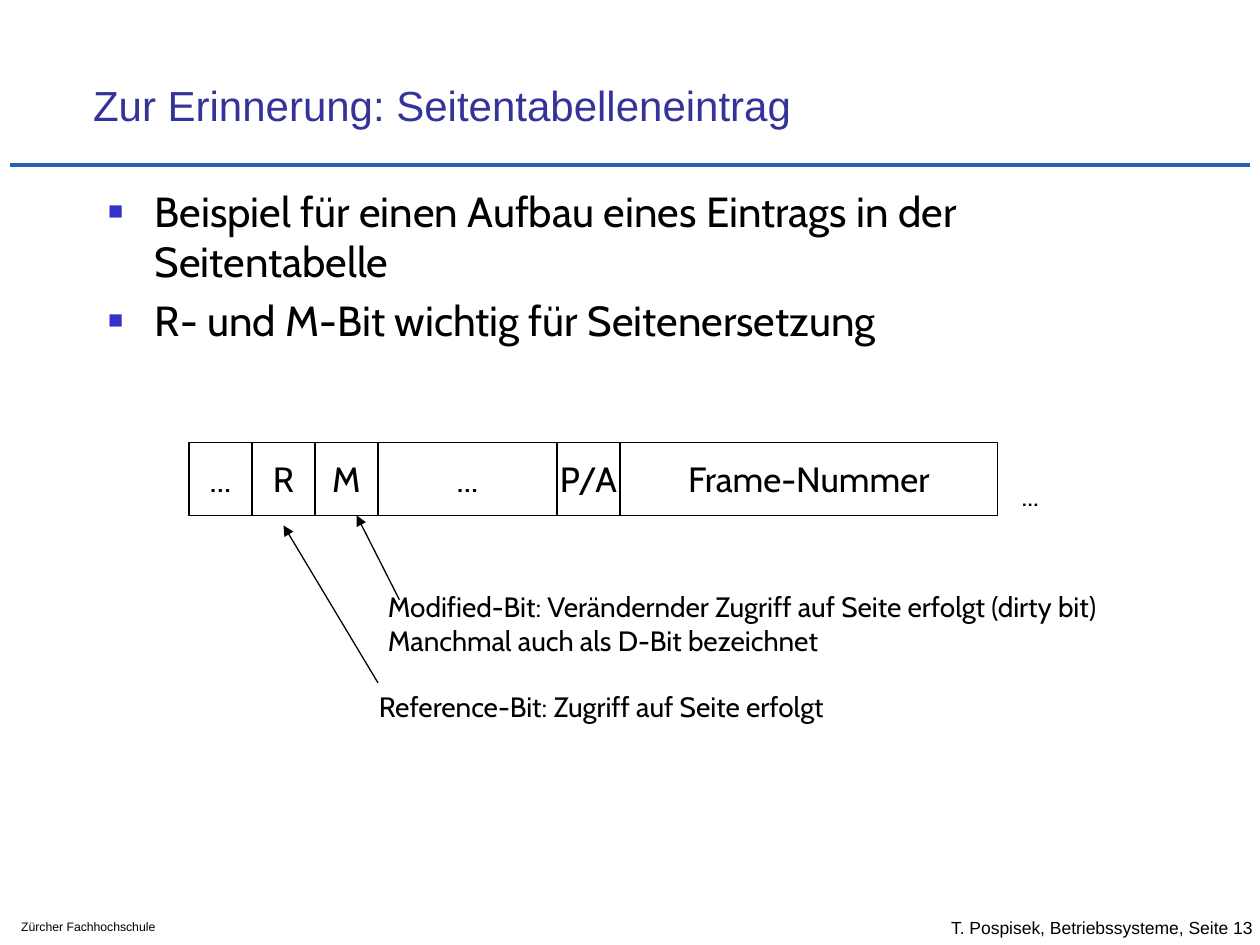
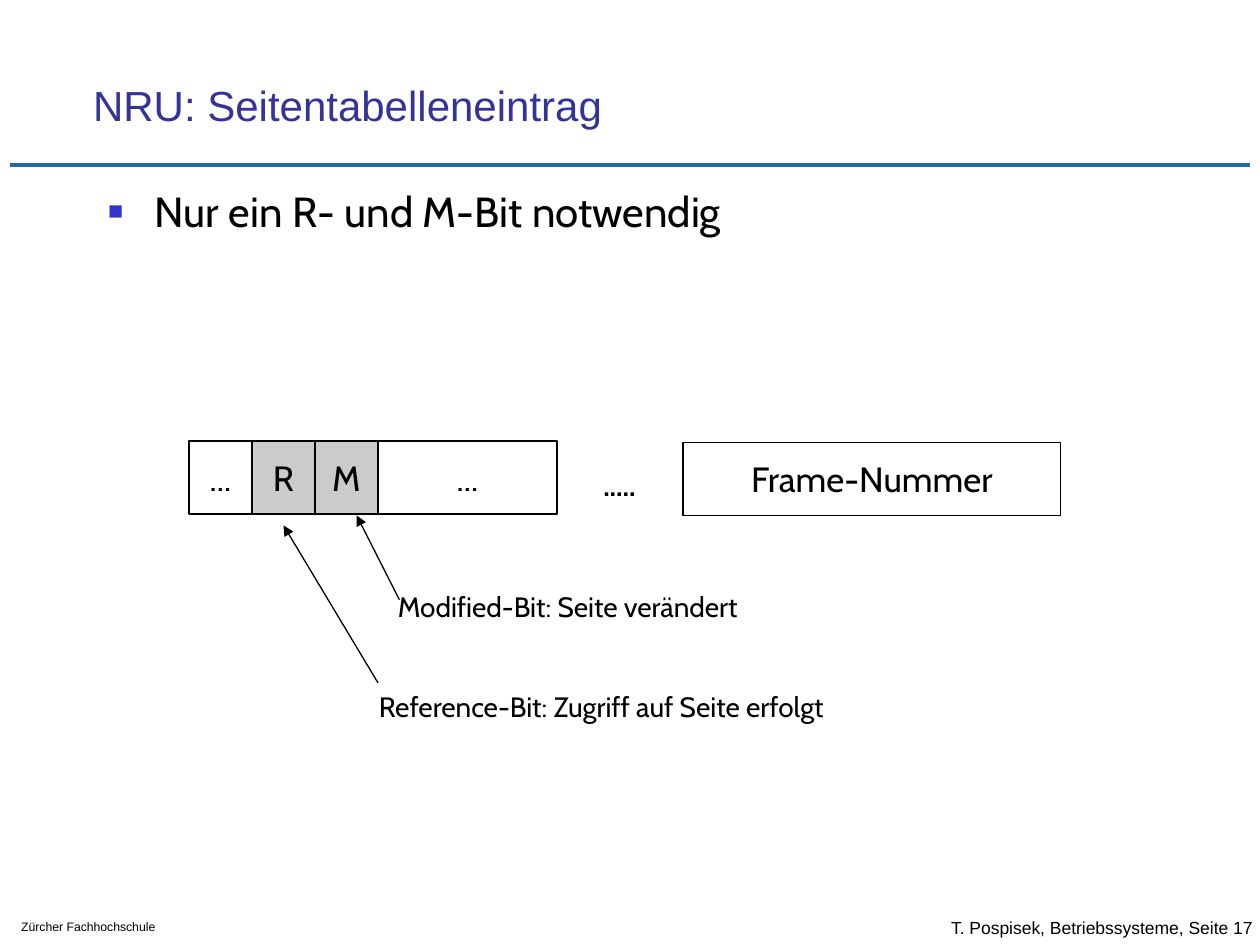
import pptx
import pptx.util
import pptx.dml.color
import pptx.enum.shapes
import pptx.enum.text
import pptx.oxml.ns
from lxml import etree

Inches = pptx.util.Inches
ANCHOR = pptx.enum.text.MSO_ANCHOR
ALIGN = pptx.enum.text.PP_ALIGN
BLACK, TITLE, RULE, BULLET, GREY = "000000", "333399", "2266AB", "3333CC", "CBCBCB"
CELL_H = 0.58

# Cells: text, left, top, width, fill
# Notes: text, left, top, width, height, bold
slides = [
    dict(
        title="Zur Erinnerung: Seitentabelleneintrag",
        page=13,
        bullets=["Beispiel für einen Aufbau eines Eintrags in der Seitentabelle",
                 "R- und M-Bit wichtig für Seitenersetzung"],
        cells=[("...", 1.5, 3.51, 0.5, None), ("R", 2, 3.51, 0.5, None),
               ("M", 2.5, 3.51, 0.5, None), ("...", 3, 3.51, 1.42, None),
               ("P/A", 4.42, 3.51, 0.5, None), ("Frame-Nummer", 4.92, 3.51, 3, None)],
        notes=[("Modified-Bit: Verändernder Zugriff auf Seite erfolgt (dirty bit)\n"
                "Manchmal auch als D-Bit bezeichnet", 2.98, 4.63, 6.51, 0.63, False),
               ("...", 8.01, 3.75, 0.38, 0.37, False)],
    ),
    dict(
        title="NRU: Seitentabelleneintrag",
        page=17,
        bullets=["Nur ein R- und M-Bit notwendig"],
        cells=[("...", 1.5, 3.5, 0.5, None), ("R", 2, 3.5, 0.5, GREY),
               ("M", 2.5, 3.5, 0.5, GREY), ("...", 3, 3.5, 1.42, None),
               ("Frame-Nummer", 5.42, 3.51, 3, None)],
        notes=[("Modified-Bit: Seite verändert", 3.06, 4.63, 3.18, 0.37, False),
               (".....", 4.69, 3.67, 0.57, 0.37, True)],
    ),
]
reference_note = ("Reference-Bit: Zugriff auf Seite erfolgt", 2.91, 5.42, 4.13, 0.37, False)
arrows = [(3, 5.42, 2.25, 4.17), (3.17, 4.76, 2.83, 4.09)]


def rgb(color):
    return pptx.dml.color.RGBColor.from_string(color)


def write(sp, text, size, font="Cabin", color=BLACK, bold=False, align=ALIGN.LEFT,
          anchor=ANCHOR.TOP, wrap=False, bullet=False):
    tf = sp.text_frame
    tf.word_wrap = wrap
    tf.vertical_anchor = anchor
    tf.margin_left = tf.margin_right = Inches(0.1)
    tf.margin_top = tf.margin_bottom = Inches(0.05)
    for i, line in enumerate(text.split("\n")):
        p = tf.add_paragraph() if i else tf.paragraphs[0]
        p.alignment = align
        if bullet:
            if i:
                p.space_before = pptx.util.Pt(4.8)
            pPr = p._p.get_or_add_pPr()
            pPr.set("marL", str(Inches(0.38)))
            pPr.set("indent", str(Inches(-0.37)))
            bu = etree.SubElement(pPr, pptx.oxml.ns.qn("a:buClr"))
            etree.SubElement(bu, pptx.oxml.ns.qn("a:srgbClr"), val=BULLET)
            etree.SubElement(pPr, pptx.oxml.ns.qn("a:buSzPct"), val="60000")
            etree.SubElement(pPr, pptx.oxml.ns.qn("a:buFont"), typeface="Arial")
            etree.SubElement(pPr, pptx.oxml.ns.qn("a:buChar"), char="■")
        r = p.add_run()
        r.text = line
        r.font.size = pptx.util.Pt(size)
        r.font.name = font
        r.font.bold = bold
        r.font.color.rgb = rgb(color)


prs = pptx.Presentation()
prs.slide_width, prs.slide_height = Inches(10), Inches(7.5)

for data in slides:
    slide = prs.slides.add_slide(prs.slide_layouts[6])
    shapes = slide.shapes

    # Footer
    sp = shapes.add_textbox(Inches(7.45), Inches(7.2), Inches(2.55), Inches(0.33))
    write(sp, f"T. Pospisek, Betriebssysteme, Seite {data['page']}", 10, font="Arial",
          anchor=ANCHOR.MIDDLE)
    sp.text_frame.margin_right = 0
    sp = shapes.add_textbox(Inches(0.07), Inches(7.25), Inches(1.72), Inches(0.22))
    write(sp, "Zürcher Fachhochschule", 7, font="Arial", wrap=True)

    # Title and bullets
    sp = shapes.add_textbox(Inches(0.64), Inches(0.33), Inches(8.52), Inches(0.75))
    write(sp, data["title"], 24, font="Arial", color=TITLE, anchor=ANCHOR.BOTTOM, wrap=True)
    sp = shapes.add_textbox(Inches(0.75), Inches(1.42), Inches(8.5), Inches(4.92))
    write(sp, "\n".join(data["bullets"]), 24, wrap=True, bullet=True)

    # Page table entry
    for text, left, top, width, fill in data["cells"]:
        sp = shapes.add_shape(pptx.enum.shapes.MSO_SHAPE.RECTANGLE, Inches(left), Inches(top),
                              Inches(width), Inches(CELL_H))
        sp.shadow.inherit = False
        if fill:
            sp.fill.solid()
            sp.fill.fore_color.rgb = rgb(fill)
        else:
            sp.fill.background()
        sp.line.color.rgb = rgb(BLACK)
        sp.line.width = pptx.util.Pt(0.75)
        write(sp, text, 20, align=ALIGN.CENTER, anchor=ANCHOR.MIDDLE)

    # Notes
    for text, left, top, width, height, bold in [reference_note] + data["notes"]:
        sp = shapes.add_textbox(Inches(left), Inches(top), Inches(width), Inches(height))
        write(sp, text, 16, bold=bold)

    # Title rule and arrows
    lines = [(0.08, 1.31, 9.92, 1.31, RULE, 2.5, False)]
    lines += [(*arrow, BLACK, 0.75, True) for arrow in arrows]
    for x1, y1, x2, y2, color, weight, head in lines:
        sp = shapes.add_connector(pptx.enum.shapes.MSO_CONNECTOR.STRAIGHT, Inches(x1),
                                  Inches(y1), Inches(x2), Inches(y2))
        sp.line.color.rgb = rgb(color)
        sp.line.width = pptx.util.Pt(weight)
        if head:
            etree.SubElement(sp.line._get_or_add_ln(), pptx.oxml.ns.qn("a:tailEnd"),
                             type="triangle")
        etree.SubElement(sp._element.spPr, pptx.oxml.ns.qn("a:effectLst"))

prs.save("out.pptx")
